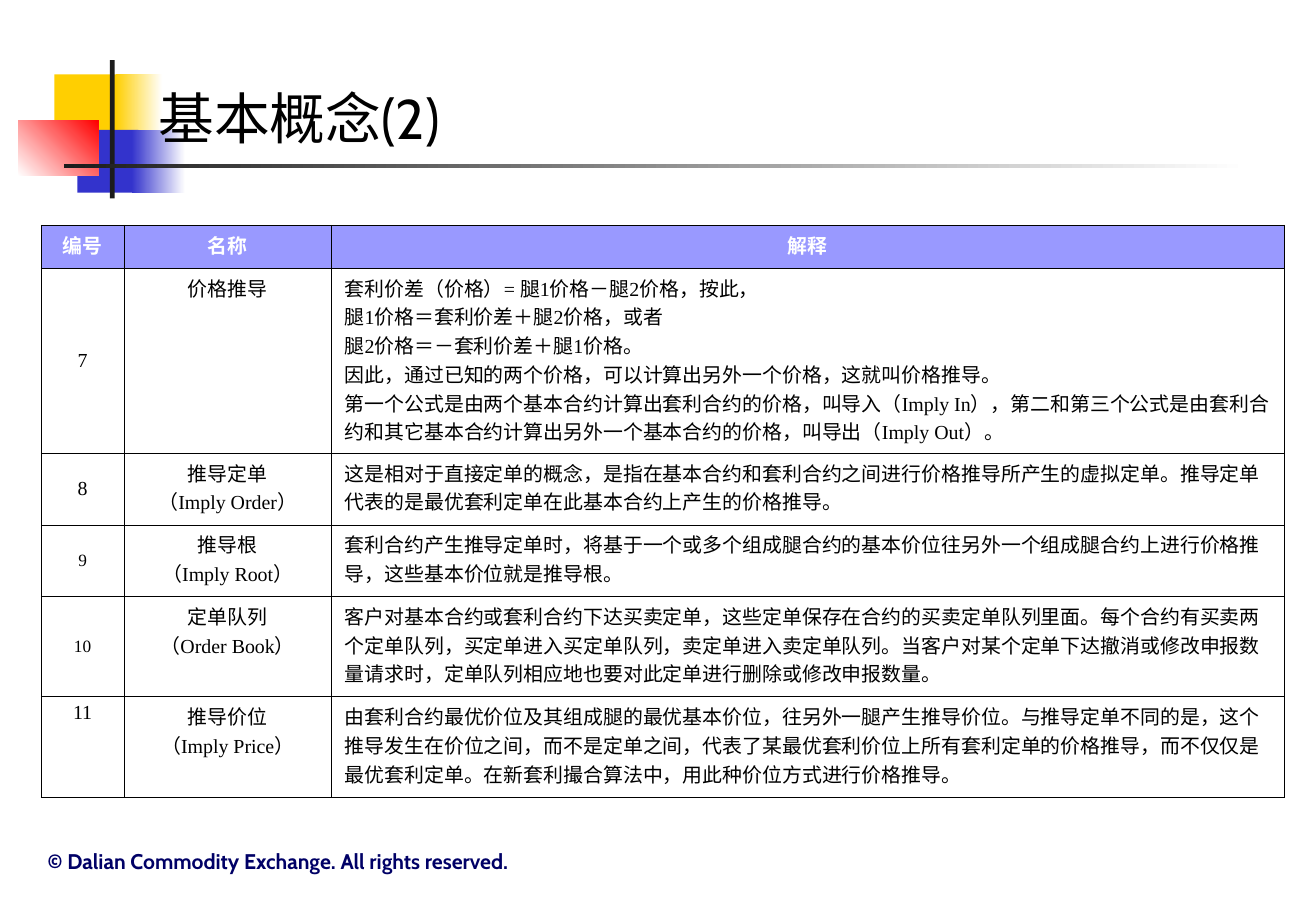
import pptx
import pptx.util
import pptx.dml.color
import pptx.enum.shapes
import pptx.enum.text
import pptx.oxml
import pptx.oxml.ns

Inches, Pt = pptx.util.Inches, pptx.util.Pt
ALIGN, ANCHOR = pptx.enum.text.PP_ALIGN, pptx.enum.text.MSO_ANCHOR

# Content
TITLE = "基本概念(2)"
COPYRIGHT = "© Dalian Commodity Exchange. All rights reserved."
HEADERS = ("编号", "名称", "解释")
CONCEPTS = [
    ("7", "价格推导",
     "套利价差（价格）= 腿1价格－腿2价格，按此，\n"
     "腿1价格＝套利价差＋腿2价格，或者\n"
     "腿2价格＝－套利价差＋腿1价格。\n"
     "因此，通过已知的两个价格，可以计算出另外一个价格，这就叫价格推导。\n"
     "第一个公式是由两个基本合约计算出套利合约的价格，叫导入（Imply In），"
     "第二和第三个公式是由套利合约和其它基本合约计算出另外一个基本合约的价格，叫导出（Imply Out）。"),
    ("8", "推导定单\n（Imply Order）",
     "这是相对于直接定单的概念，是指在基本合约和套利合约之间进行价格推导所产生的虚拟定单。"
     "推导定单代表的是最优套利定单在此基本合约上产生的价格推导。"),
    ("9", "推导根\n（Imply Root）",
     "套利合约产生推导定单时，将基于一个或多个组成腿合约的基本价位往另外一个组成腿合约上进行价格推导，"
     "这些基本价位就是推导根。"),
    ("10", "定单队列\n（Order Book）",
     "客户对基本合约或套利合约下达买卖定单，这些定单保存在合约的买卖定单队列里面。"
     "每个合约有买卖两个定单队列，买定单进入买定单队列，卖定单进入卖定单队列。"
     "当客户对某个定单下达撤消或修改申报数量请求时，定单队列相应地也要对此定单进行删除或修改申报数量。"),
    ("11", "推导价位\n（Imply Price）",
     "由套利合约最优价位及其组成腿的最优基本价位，往另外一腿产生推导价位。"
     "与推导定单不同的是，这个推导发生在价位之间，而不是定单之间，"
     "代表了某最优套利价位上所有套利定单的价格推导，而不仅仅是最优套利定单。"
     "在新套利撮合算法中，用此种价位方式进行价格推导。"),
]
SMALL_NUMBERS = ("9", "10")
TOP_NUMBERS = ("11",)

# Formats
COLORS = {"yellow": "FFCF01", "blue": "3333CC", "red": "FF0000", "white": "FFFFFF",
          "ink": "1C1C1C", "black": "000000", "navy": "000066", "header": "9999FF"}
COLUMN_WIDTHS = (0.87, 2.17, 9.98)
ROW_HEIGHTS = (0.45, 1.94, 0.75, 0.75, 1.05, 1.05)
# Left, top, width, height, colours from start to end, gradient angle
ORNAMENTS = [
    (0.57, 0.78, 0.66, 0.65, ("yellow",), 0),
    (1.21, 0.78, 0.49, 0.65, ("yellow", "white"), 0),
    (0.81, 1.36, 0.64, 0.66, ("blue",), 0),
    (1.38, 1.36, 0.56, 0.66, ("blue", "white"), 0),
    (0.19, 1.26, 0.84, 0.58, ("white", "red"), 45),
    (1.15, 0.63, 0.05, 1.45, ("ink",), 0),
    (0.67, 1.72, 12.4, 0.04, ("ink", "white"), 0),
]
TITLE_FONT = {"name": "Cabin", "size": Pt(42), "bold": False}
COPYRIGHT_FONT = {"name": "Cabin", "size": Pt(16), "bold": True}
HEADER_FONT = {"name": "Times New Roman", "size": Pt(15), "bold": True}
BODY_FONT = {**HEADER_FONT, "bold": False}
SMALL_FONT = {**BODY_FONT, "size": Pt(13)}
CELL_MARGINS = {"margin_left": Inches(0.14), "margin_right": Inches(0.14),
                "margin_top": Inches(0.05), "margin_bottom": Inches(0.05)}


def rgb(color):
    return pptx.dml.color.RGBColor.from_string(COLORS[color])


def set_attributes(target, values):
    for name, value in values.items():
        setattr(target, name, value)


def write(frame, text, font, color, align=ALIGN.LEFT):
    frame.text = text
    for paragraph in frame.paragraphs:
        paragraph.alignment = align
        for run in paragraph.runs:
            set_attributes(run.font, font)
            run.font.color.rgb = rgb(color)


def add_ornament(slide, left, top, width, height, colors, angle):
    shape = slide.shapes.add_shape(
        pptx.enum.shapes.MSO_SHAPE.RECTANGLE,
        Inches(left), Inches(top), Inches(width), Inches(height))
    shape.shadow.inherit = False
    shape.line.fill.background()
    if len(colors) == 1:
        shape.fill.solid()
        shape.fill.fore_color.rgb = rgb(colors[0])
    else:
        shape.fill.gradient()
        shape.fill.gradient_angle = angle
        for stop, color in zip(shape.fill.gradient_stops, colors):
            stop.color.rgb = rgb(color)


def add_borders(cell):
    properties = cell._tc.get_or_add_tcPr()
    for index, side in enumerate("LRTB"):
        properties.insert(index, pptx.oxml.parse_xml(
            f'<a:ln{side} {pptx.oxml.ns.nsdecls("a")} w="{Pt(0.45)}"><a:solidFill>'
            f'<a:srgbClr val="{COLORS["black"]}"/></a:solidFill></a:ln{side}>'))


def add_concept_table(slide):
    table = slide.shapes.add_table(
        len(ROW_HEIGHTS), len(COLUMN_WIDTHS), Inches(0.43), Inches(2.36),
        Inches(sum(COLUMN_WIDTHS)), Inches(sum(ROW_HEIGHTS))).table
    set_attributes(table, {"first_row": False, "horz_banding": False})
    for column, width in zip(table.columns, COLUMN_WIDTHS):
        column.width = Inches(width)
    for row, height in zip(table.rows, ROW_HEIGHTS):
        row.height = Inches(height)

    for row_index, texts in enumerate([HEADERS, *CONCEPTS]):
        is_header = row_index == 0
        for column_index, text in enumerate(texts):
            cell = table.cell(row_index, column_index)
            is_number = column_index == 0 and not is_header
            set_attributes(cell, CELL_MARGINS)
            centred = is_number and text not in TOP_NUMBERS
            cell.vertical_anchor = ANCHOR.MIDDLE if centred else ANCHOR.TOP
            if is_header:
                cell.fill.solid()
                cell.fill.fore_color.rgb = rgb("header")
            else:
                cell.fill.background()
            add_borders(cell)
            font = HEADER_FONT if is_header else SMALL_FONT if text in SMALL_NUMBERS else BODY_FONT
            align = ALIGN.CENTER if is_header or column_index < 2 else ALIGN.LEFT
            write(cell.text_frame, text, font, "white" if is_header else "black", align)


def main():
    presentation = pptx.Presentation()
    presentation.slide_width, presentation.slide_height = Inches(13.78), Inches(9.45)
    slide = presentation.slides.add_slide(presentation.slide_layouts[5])

    # Corner ornament and rule, kept behind the title
    for ornament in ORNAMENTS:
        add_ornament(slide, *ornament)

    # Title
    title = slide.shapes.title
    slide.shapes._spTree.append(title._element)
    set_attributes(title, {"left": Inches(1.54), "top": Inches(0.94),
                           "width": Inches(11.57), "height": Inches(0.7)})
    set_attributes(title.text_frame, {
        "margin_left": Inches(0.12), "margin_right": Inches(0.12),
        "margin_top": Inches(0.06), "margin_bottom": Inches(0.06),
        "vertical_anchor": ANCHOR.BOTTOM, "auto_size": pptx.enum.text.MSO_AUTO_SIZE.NONE})
    write(title.text_frame, TITLE, TITLE_FONT, "black")

    # Concept table
    add_concept_table(slide)

    # Copyright line
    footer = slide.shapes.add_textbox(Inches(0.35), Inches(8.84), Inches(6.14), Inches(0.36))
    set_attributes(footer.text_frame, {"word_wrap": True, "margin_left": Inches(0.15)})
    write(footer.text_frame, COPYRIGHT, COPYRIGHT_FONT, "navy")

    presentation.save("out.pptx")


if __name__ == "__main__":
    main()
